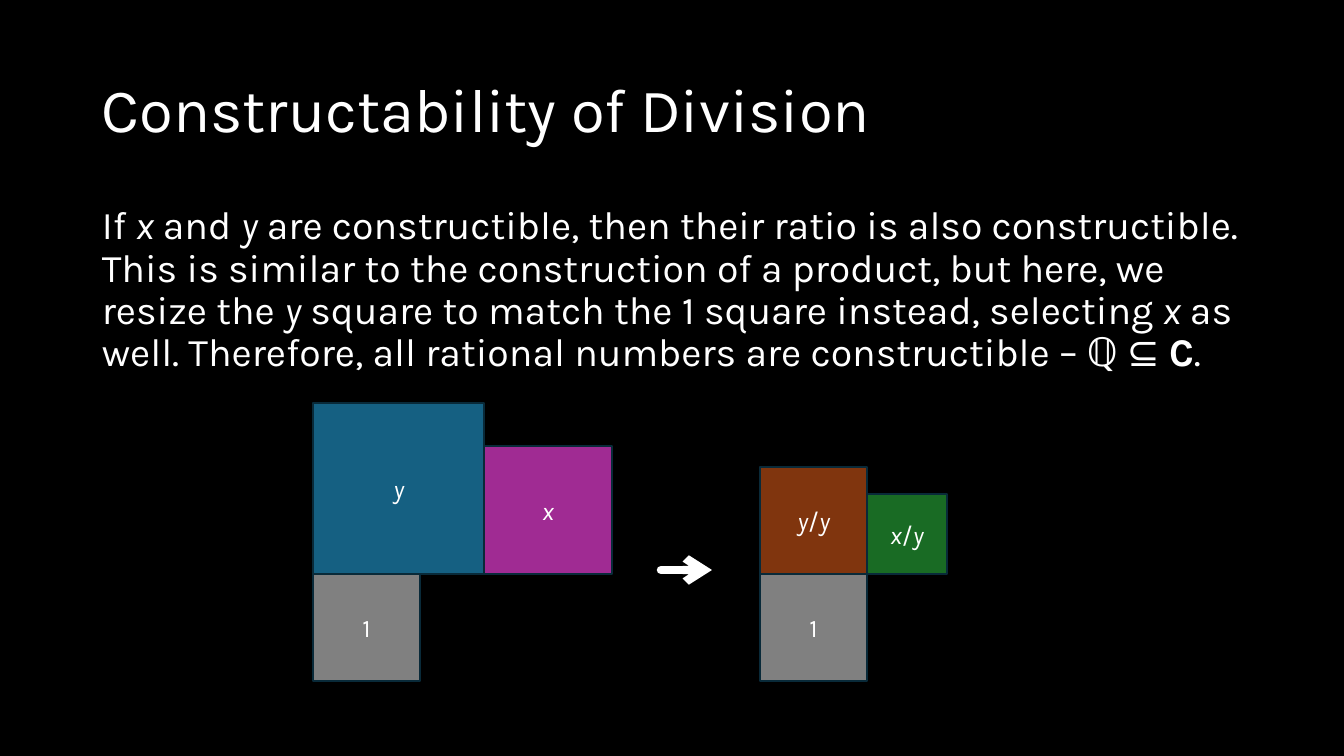
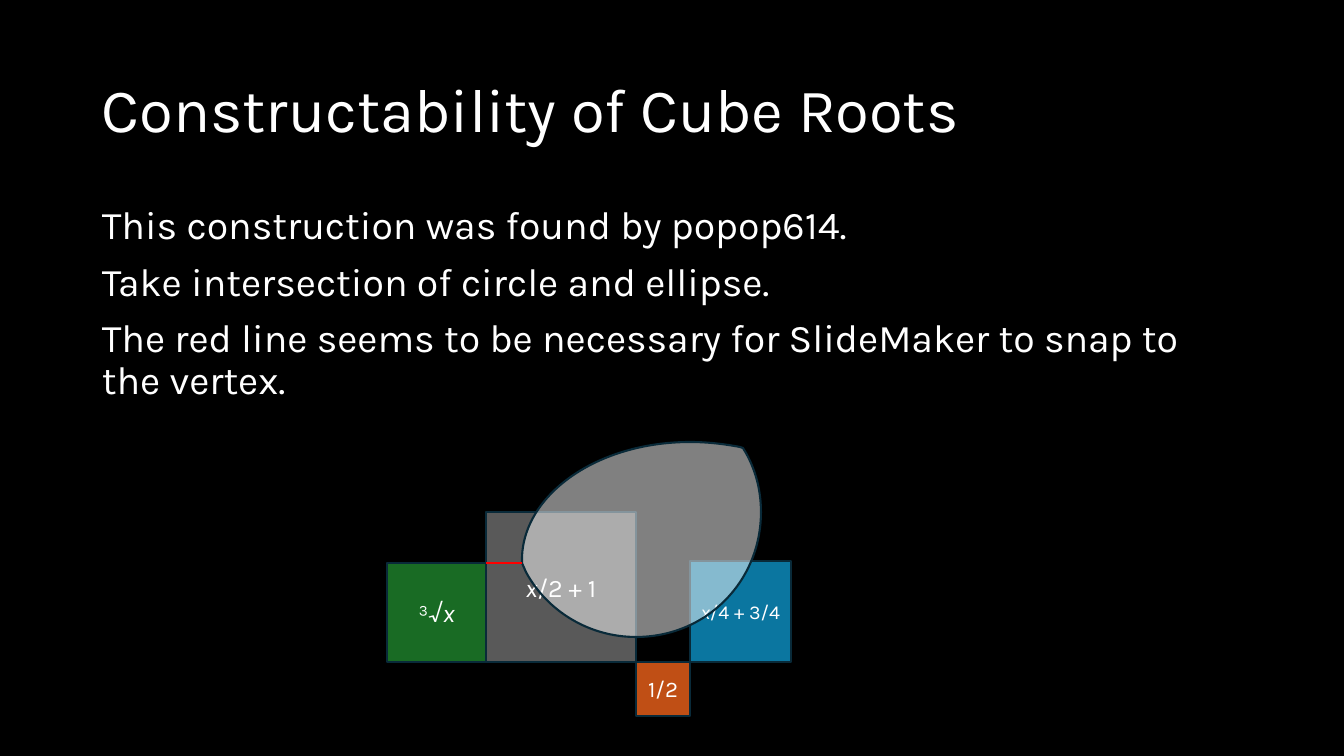
"""Build two slides on constructing ratios and cube roots with squares."""
from lxml import etree
from pptx import Presentation
from pptx import util as u
from pptx.dml.color import RGBColor
from pptx.enum import shapes, text
from pptx.oxml.ns import qn

PX = 9071
FONT = "Karla"
BLACK = RGBColor(0x00, 0x00, 0x00)
WHITE = RGBColor(0xFF, 0xFF, 0xFF)
OUTLINE = RGBColor(0x09, 0x2A, 0x39)
PURPLE = RGBColor(0xA0, 0x2B, 0x93)
BLUE = RGBColor(0x15, 0x60, 0x82)
GRAY = RGBColor(0x80, 0x80, 0x80)
DARK_GRAY = RGBColor(0x59, 0x59, 0x59)
GREEN = RGBColor(0x19, 0x6B, 0x24)
BROWN = RGBColor(0x80, 0x35, 0x0E)
ORANGE = RGBColor(0xC0, 0x4F, 0x15)
TEAL = RGBColor(0x0B, 0x76, 0xA0)
RED = RGBColor(0xFF, 0x00, 0x00)

MIDDLE, TOP = text.MSO_ANCHOR.MIDDLE, text.MSO_ANCHOR.TOP
HEADING = {"line_spacing": 0.9, "alignment": text.PP_ALIGN.LEFT}
LABEL = {"alignment": text.PP_ALIGN.CENTER}

OVERLAP = [
    [(690, 442)],
    [(708, 442), (724, 444), (740, 447)],
    [(743, 448)],
    [(746, 453)],
    [(756, 471), (761, 491), (761, 512)],
    [(761, 582), (706, 637), (636, 637)],
    [(589, 637), (547, 611), (526, 572)],
    [(522, 563)],
    [(522, 560)],
    [(522, 495), (597, 442), (690, 442)],
]
SLIDES = [
    {
        "title": "Constructability of Division",
        "body": [
            "If _x_ and _y_ are constructible, then their ratio is also constructible. "
            "This is similar to the construction of a product, but here, we resize the "
            "_y_ square to match the 1 square instead, selecting _x_ as well. "
            "Therefore, all rational numbers are constructible – ℚ ⊆ _C_."
        ],
        "baseline": 574,
        "standing": [(484, 128, PURPLE, "_x_", 18), (313, 171, BLUE, "_y_", 18),
                     (867, 80, GREEN, "_x_/_y_", 18), (760, 107, BROWN, "_y_/_y_", 18)],
        "hanging": [(313, 107, GRAY, "1", 18), (760, 107, GRAY, "1", 18)],
        "overlap": [],
        "front": [],
        "line": (661, 570, 712, 570, WHITE, 6),
        "arrow": True,
    },
    {
        "title": "Constructability of Cube Roots",
        "body": [
            "This construction was found by popop614.",
            "Take intersection of circle and ellipse.",
            "The red line seems to be necessary for SlideMaker to snap to the vertex.",
        ],
        "baseline": 662,
        "standing": [(486, 150, DARK_GRAY, "_x_/2 + 1", 18),
                     (690, 101, TEAL, "_x_/4 + 3/4", 14)],
        "hanging": [(636, 54, ORANGE, "1/2", 16)],
        "overlap": OVERLAP,
        "front": [(387, 99, GREEN, "³√_x_", 18)],
        "line": (522, 563, 486, 563, RED, 1.5),
        "arrow": False,
    },
]


def write(box, lines, size, anchor, formats):
    """Fill a box with paragraphs; marked letters are italic, marked capitals bold."""
    frame = box.text_frame
    frame.word_wrap = True
    frame.vertical_anchor = anchor
    for index, line in enumerate(lines):
        para = frame.paragraphs[0] if index == 0 else frame.add_paragraph()
        for name, value in formats.items():
            setattr(para, name, value)
        if index:
            para.space_before = u.Pt(10)
        for position, part in enumerate(line.split("_")):
            if not part:
                continue
            marked = position % 2 == 1
            span = para.add_run()
            span.text = part
            font = {"name": FONT, "size": u.Pt(size),
                    "italic": marked and part.islower(),
                    "bold": marked and part.isupper()}
            for name, value in font.items():
                setattr(span.font, name, value)
            span.font.color.rgb = WHITE


def paint(shape, color):
    """Give a shape its fill and the shared outline, without a shadow."""
    shape.shadow.inherit = False
    shape.fill.solid()
    shape.fill.fore_color.rgb = color
    shape.line.color.rgb = OUTLINE
    shape.line.width = u.Pt(1.5)


deck = Presentation()
deck.slide_width, deck.slide_height = 1344 * PX, 756 * PX

for content in SLIDES:
    page = deck.slides.add_slide(deck.slide_layouts[6])
    page.background.fill.solid()
    page.background.fill.fore_color.rgb = BLACK

    title = page.shapes.add_textbox(92 * PX, 40 * PX, 1159 * PX, 146 * PX)
    write(title, [content["title"]], 44, MIDDLE, HEADING)
    body = page.shapes.add_textbox(92 * PX, 201 * PX, 1159 * PX, 480 * PX)
    write(body, content["body"], 28, TOP, HEADING)

    for group in ("standing", "hanging", "overlap", "front"):
        if group == "overlap":
            if not content[group]:
                continue
            points = [point for segment in content[group] for point in segment]
            builder = page.shapes.build_freeform(*points[0], scale=float(PX))
            builder.add_line_segments(points[1:], close=True)
            overlap = builder.convert_to_shape()
            paint(overlap, WHITE)
            fill_color = overlap._element.spPr.find(qn("a:solidFill"))[0]
            etree.SubElement(fill_color, qn("a:alpha"), val="50000")
            steps = iter(list(overlap._element.iter(qn("a:lnTo"))))
            for segment in content[group][1:]:
                curve = next(steps)
                if len(segment) == 3:
                    curve.tag = qn("a:cubicBezTo")
                    for step in (next(steps), next(steps)):
                        curve.append(step[0])
                        step.getparent().remove(step)
            continue
        for left, side, color, label, size in content[group]:
            top = content["baseline"] - (0 if group == "hanging" else side)
            square = page.shapes.add_shape(
                shapes.MSO_SHAPE.RECTANGLE, left * PX, top * PX, side * PX, side * PX)
            paint(square, color)
            write(square, [label], size, MIDDLE, LABEL)

    *ends, color, width = content["line"]
    line = page.shapes.add_connector(
        shapes.MSO_CONNECTOR.STRAIGHT, *[end * PX for end in ends])
    line.line.color.rgb = color
    line.line.width = u.Pt(width)
    if content["arrow"]:
        stroke = line._element.spPr.find(qn("a:ln"))
        stroke.set("cap", "rnd")
        etree.SubElement(stroke, qn("a:round"))
        etree.SubElement(stroke, qn("a:tailEnd"), type="arrow")
    etree.SubElement(line._element.spPr, qn("a:effectLst"))

deck.save("out.pptx")
